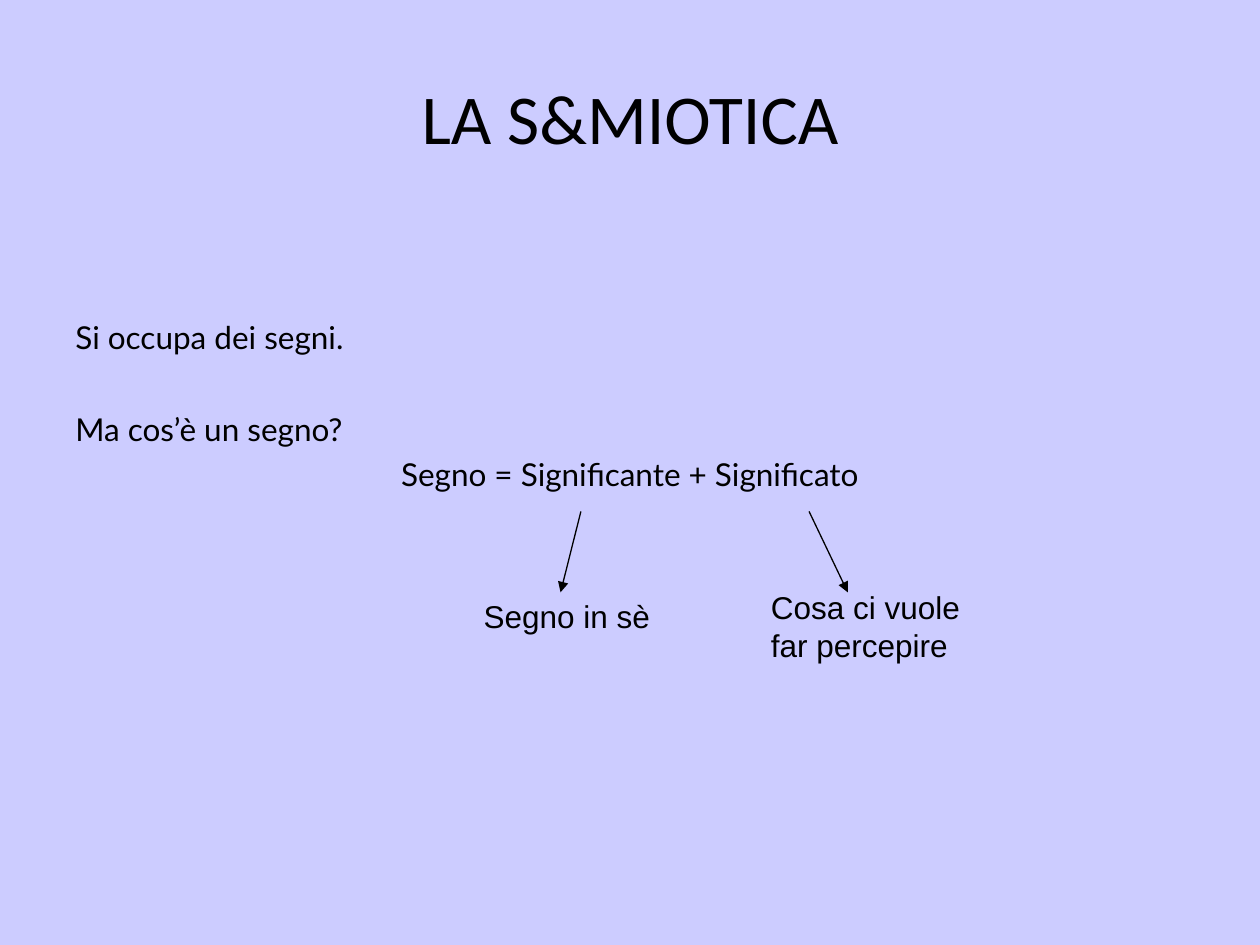
from pptx import Presentation
from pptx.dml.color import RGBColor
from pptx.enum.shapes import MSO_CONNECTOR
from pptx.enum.text import MSO_ANCHOR, PP_ALIGN
from pptx.oxml.ns import qn
from pptx.util import Cm, Pt
from lxml.etree import SubElement

THEME = {
    "background": RGBColor.from_string("CCCCFF"),
    "ink": RGBColor.from_string("000000"),
    "title": {"font": "Calibri", "size": 40},
    "body": {"font": "Lato", "size": 18},
    "label": {"font": "Arial", "size": 18},
    "line": 0.75,
}

TITLE = "LA S&MIOTICA"
BODY = [
    ("Si occupa dei segni.", PP_ALIGN.LEFT, 0),
    ("Ma cos’è un segno?", PP_ALIGN.LEFT, 30.6),
    ("Segno = Significante + Significato", PP_ALIGN.CENTER, 4.5),
]
MEANINGS = [
    {"text": "Segno in sè", "box": (9.5, 11.91, 3.99, 1.02), "arrow_x": (11.71, 11.3)},
    {"text": "Cosa ci vuole far percepire", "box": (15.29, 11.73, 4.6, 1.78),
     "arrow_x": (16.31, 17.09)},
]
MARGIN, WIDTH = 1.27, 22.86
ARROW_TOP, ARROW_BOTTOM = 10.31, 11.94


def add_text(s, paragraphs, box, style, anchor=MSO_ANCHOR.TOP, top=0.13):
    tf = s.shapes.add_textbox(*map(Cm, box)).text_frame
    tf.word_wrap = True
    tf.vertical_anchor = anchor
    tf.margin_top = Cm(top)
    for i, (text, align, before) in enumerate(paragraphs):
        p = tf.add_paragraph() if i else tf.paragraphs[0]
        p.alignment = align
        p.space_before = Pt(before)
        r = p.add_run()
        r.text = text
        r.font.name = style["font"]
        r.font.size = Pt(style["size"])
        r.font.color.rgb = THEME["ink"]


def add_arrow(s, x1, y1, x2, y2):
    line = s.shapes.add_connector(MSO_CONNECTOR.STRAIGHT, *map(Cm, (x1, y1, x2, y2)))
    line.line.color.rgb = THEME["ink"]
    line.line.width = Pt(THEME["line"])
    SubElement(line.line._get_or_add_ln(), qn("a:tailEnd"), type="triangle")
    SubElement(line._element.spPr, qn("a:effectLst"))


def main():
    prs = Presentation()
    prs.slide_width, prs.slide_height = Cm(25.4), Cm(19.05)
    s = prs.slides.add_slide(prs.slide_layouts[6])
    s.background.fill.solid()
    s.background.fill.fore_color.rgb = THEME["background"]

    add_text(s, [(TITLE, PP_ALIGN.CENTER, 0)], (MARGIN, 0.76, WIDTH, 3.18),
             THEME["title"], anchor=MSO_ANCHOR.MIDDLE)
    add_text(s, BODY, (MARGIN, 4.45, WIDTH, 12.57), THEME["body"], top=1.97)
    for meaning in MEANINGS:
        add_text(s, [(meaning["text"], PP_ALIGN.LEFT, 0)], meaning["box"], THEME["label"])
        start, end = meaning["arrow_x"]
        add_arrow(s, start, ARROW_TOP, end, ARROW_BOTTOM)

    prs.save("out.pptx")


if __name__ == "__main__":
    main()
